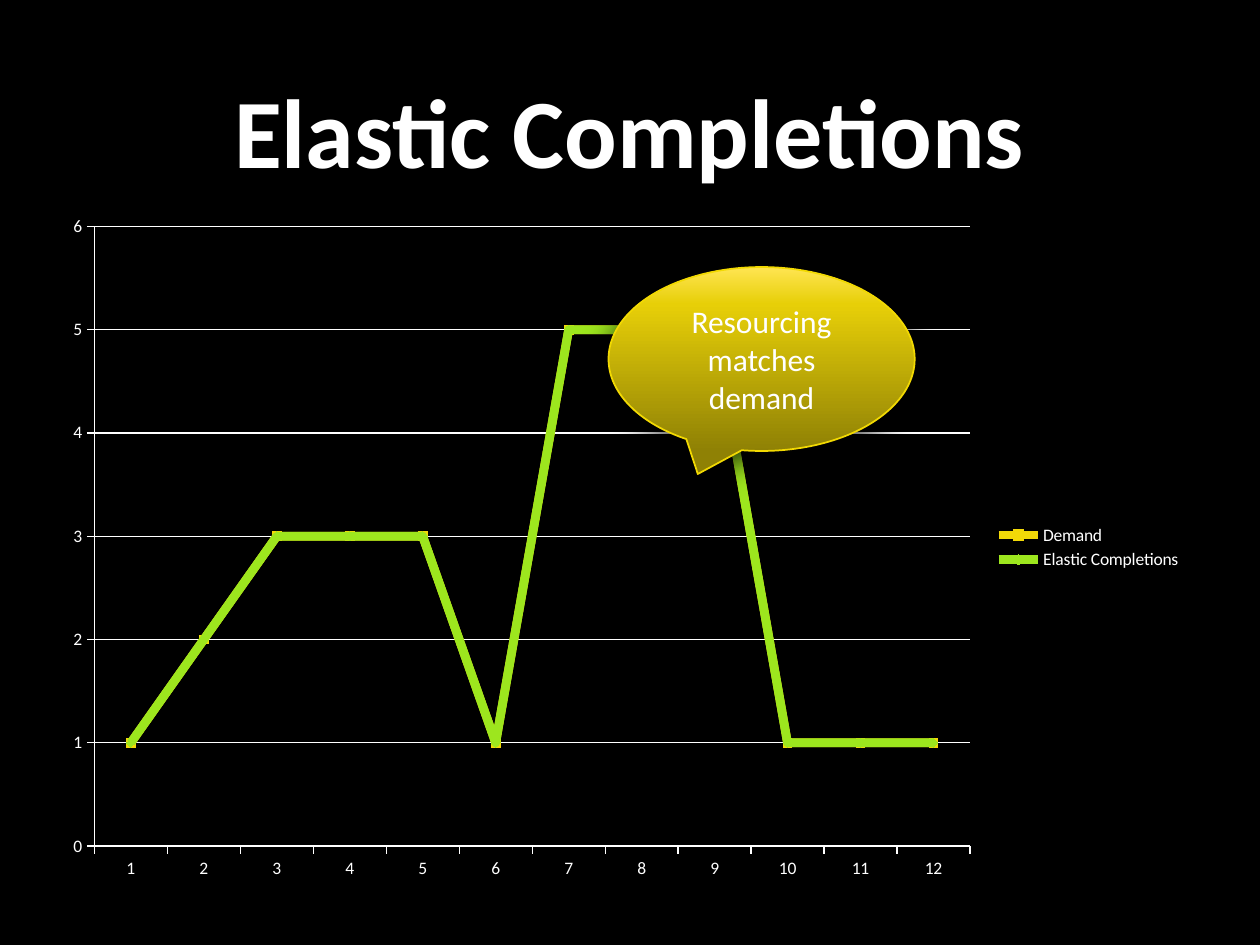
from lxml import etree
from pptx import Presentation
from pptx.chart.data import CategoryChartData as Data
from pptx.dml.color import RGBColor
from pptx.enum.chart import XL_CHART_TYPE as Kind, XL_LEGEND_POSITION as Side
from pptx.enum.chart import XL_MARKER_STYLE as Mark, XL_TICK_MARK as Tick
from pptx.enum.shapes import MSO_SHAPE as Shape
from pptx.enum.text import MSO_ANCHOR as Anchor, PP_ALIGN as Align
from pptx.oxml import parse_xml
from pptx.oxml.ns import nsdecls, qn
from pptx.util import Pt

FACE = "Calibri"
WHITE = "FFFFFF"
LEVELS = [1, 2, 3, 3, 3, 1, 5, 5, 5, 1, 1, 1]
SERIES = [("Demand", "F2D908", Mark.SQUARE),
          ("Elastic Completions", "9DE61E", Mark.DIAMOND)]
STOPS = [(0, "8F8105"), (80, "E7CF08"), (100, "FFE552")]


def color(code):
    return RGBColor.from_string(code)


def style(font, size, bold=False, tint=WHITE):
    font.name, font.size, font.bold = FACE, Pt(size), bold
    font.color.rgb = color(tint)


def write(shape, text, size, bold=False, tint=WHITE):
    frame = shape.text_frame
    frame.word_wrap = True
    frame.vertical_anchor = Anchor.MIDDLE
    para = frame.paragraphs[0]
    para.alignment = Align.CENTER
    run = para.add_run()
    run.text = text
    style(run.font, size, bold, tint)


def place(shape, left, top, width, height):
    shape.left, shape.top = Pt(left), Pt(top)
    shape.width, shape.height = Pt(width), Pt(height)


def stroke(line, tint, width):
    line.color.rgb = color(tint)
    line.width = Pt(width)


def add_lines(slide, left, top, width, height):
    data = Data()
    data.categories = [str(n + 1) for n in range(len(LEVELS))]
    for name, _, _ in SERIES:
        data.add_series(name, LEVELS)
    chart = slide.shapes.add_chart(
        Kind.LINE_MARKERS, Pt(left), Pt(top), Pt(width), Pt(height), data).chart
    style(chart.font, 10)
    chart.has_title = False

    # Legend
    chart.has_legend = True
    chart.legend.position = Side.RIGHT
    chart.legend.include_in_layout = False

    # Axes and grid
    for axis in (chart.category_axis, chart.value_axis):
        axis.major_tick_mark = Tick.OUTSIDE
        axis.minor_tick_mark = Tick.NONE
        stroke(axis.format.line, WHITE, 0.75)
    scale = chart.value_axis
    scale.minimum_scale, scale.maximum_scale, scale.major_unit = 0, 6, 1
    scale.has_major_gridlines = True
    stroke(scale.major_gridlines.format.line, WHITE, 0.75)

    # Series
    plot = chart.plots[0]
    plot.vary_by_categories = False
    for line, (_, tint, mark) in zip(plot.series, SERIES):
        line.smooth = False
        stroke(line.format.line, tint, 5)
        line.marker.style, line.marker.size = mark, 5
        fill = line.marker.format.fill
        fill.solid()
        fill.fore_color.rgb = color(tint)
        stroke(line.marker.format.line, tint, 0.75)


def shade(shape, stops, angle):
    """Fill with a gradient of any number of stops."""
    shape.fill.gradient()
    grad = shape.fill._xPr.find(qn("a:gradFill"))
    marks = "".join(f'<a:gs pos="{at * 1000}"><a:srgbClr val="{tint}"/></a:gs>'
                    for at, tint in stops)
    grad.getparent().replace(grad, parse_xml(
        f'<a:gradFill {nsdecls("a")} rotWithShape="1"><a:gsLst>{marks}</a:gsLst>'
        f'<a:lin ang="{angle * 60000}" scaled="0"/></a:gradFill>'))


def drop(shape, tint, alpha, blur, dist, angle):
    """Give the shape an outer shadow."""
    shape.shadow.inherit = False
    effects = shape._element.spPr.find(qn("a:effectLst"))
    outer = etree.SubElement(effects, qn("a:outerShdw"), blurRad=str(Pt(blur)),
                             dist=str(Pt(dist)), dir=str(angle * 60000),
                             rotWithShape="0")
    tone = etree.SubElement(outer, qn("a:srgbClr"), val=tint)
    etree.SubElement(tone, qn("a:alpha"), val=str(alpha * 1000))


def add_callout(slide, text, left, top, width, height):
    bubble = slide.shapes.add_shape(
        Shape.OVAL_CALLOUT, Pt(left), Pt(top), Pt(width), Pt(height))
    shade(bubble, STOPS, 270)
    stroke(bubble.line, "F2D902", 1)
    drop(bubble, "000000", 80, 18, 3, 90)
    write(bubble, text, 18)


def main():
    deck = Presentation()
    deck.slide_width, deck.slide_height = Pt(720), Pt(540)
    slide = deck.slides.add_slide(deck.slide_layouts[5])
    back = slide.background.fill
    back.solid()
    back.fore_color.rgb = color("000000")

    # Title
    title = slide.shapes.title
    place(title, 61.2, 8.64, 596.88, 130.32)
    write(title, "Elastic Completions", 56, bold=True)

    # Chart and remark
    add_lines(slide, 28.8, 115.92, 653.76, 393.84)
    add_callout(slide, "Resourcing matches demand", 347.76, 152.64, 174.96, 105.12)

    deck.save("out.pptx")


if __name__ == "__main__":
    main()
